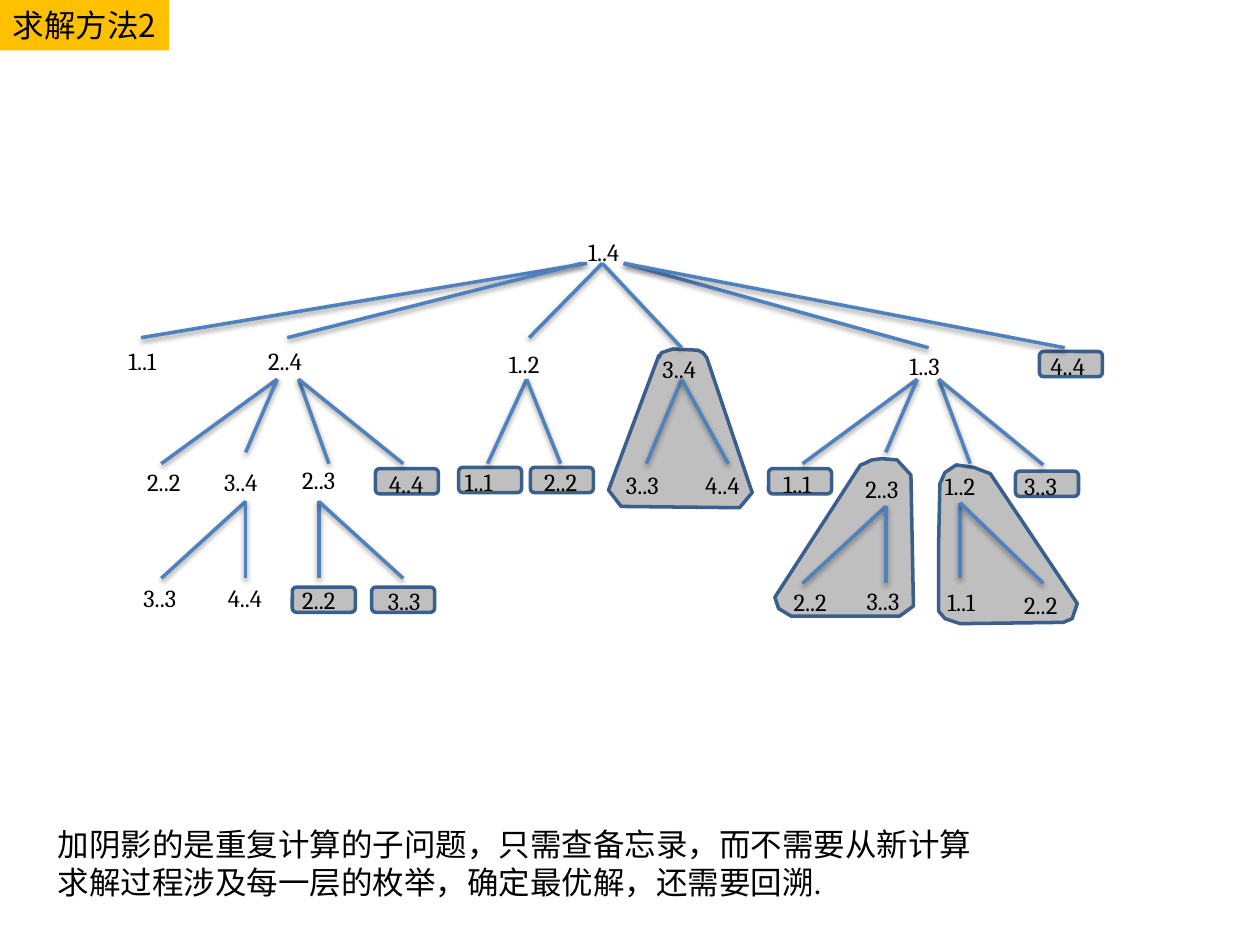
from lxml.etree import SubElement
from pptx import Presentation
from pptx.dml.color import RGBColor
from pptx.enum.shapes import MSO_CONNECTOR, MSO_SHAPE
from pptx.enum.text import MSO_ANCHOR, MSO_AUTO_SIZE, PP_ALIGN
from pptx.oxml.ns import qn
from pptx.util import Cm, Pt

BLACK = RGBColor(0x00, 0x00, 0x00)
AMBER = RGBColor(0xFF, 0xC0, 0x00)
GRAY = RGBColor(0xBF, 0xBF, 0xBF)
NAVY = RGBColor(0x3A, 0x5F, 0x8C)
BLUE = RGBColor(0x4F, 0x81, 0xBD)

# Positions below are in hundredths of an inch.
REPEATED_LEAVES = [
    (806, 374), (610, 372), (298, 372), (421, 371),
    (364, 371), (825, 279), (295, 466), (232, 466),
]
REPEATED_SUBTREES = [
    [(746, 384), (750, 375), (759, 369), (773, 371), (786, 376), (855, 479),
     (851, 491), (844, 494), (762, 495), (750, 491), (745, 485), (745, 430)],
    [(523, 282), (523, 284), (525, 280), (534, 277), (554, 278), (558, 280),
     (561, 284), (597, 391), (587, 403), (493, 402), (483, 389)],
    [(683, 369), (688, 367), (692, 365), (700, 364), (712, 365), (723, 377),
     (725, 481), (714, 489), (628, 489), (618, 483), (615, 474)],
]
# Each branch point with the ends of its edges
BRANCHES = [
    ((466, 209), [(112, 268)]),
    ((462, 209), [(228, 268)]),
    ((478, 209), [(420, 268), (541, 276)]),
    ((495, 209), [(737, 276), (845, 276)]),
    ((220, 301), [(128, 368), (195, 359)]),
    ((237, 301), [(261, 368), (320, 368)]),
    ((418, 301), [(387, 368), (445, 368)]),
    ((541, 301), [(513, 368), (578, 368)]),
    ((728, 301), [(637, 368), (703, 359)]),
    ((745, 301), [(770, 368), (828, 369)]),
    ((253, 398), [(253, 459), (320, 459)]),
    ((195, 398), [(128, 459), (195, 459)]),
    ((703, 402), [(637, 463), (703, 463)]),
    ((762, 399), [(762, 459), (828, 463)]),
]
# Subproblem labels by tree level: range, left, top
LEVELS = [
    [("1..4", 457, 183)],
    [("1..1", 92, 270), ("2..4", 203, 270), ("1..2", 394, 272),
     ("3..4", 516, 276), ("1..3", 712, 274), ("4..4", 824, 274)],
    [("2..2", 107, 366), ("3..4", 168, 366), ("2..3", 230, 364),
     ("4..4", 299, 367), ("1..1", 359, 366), ("2..2", 422, 366),
     ("3..3", 487, 368), ("4..4", 550, 368), ("1..1", 612, 367),
     ("2..3", 677, 371), ("1..2", 740, 369), ("3..3", 803, 369)],
    [("3..3", 104, 458), ("4..4", 171, 458), ("2..2", 230, 459),
     ("3..3", 298, 460), ("2..2", 620, 461), ("3..3", 678, 460),
     ("1..1", 742, 461), ("2..2", 803, 463)],
]


def scaled(*values):
    """Turn hundredths of an inch into lengths."""
    return [Cm(value * 0.0254) for value in values]


class TreeSlide:
    line_width = Pt(2)

    def __init__(self, slide):
        self.slide = slide
        self.shapes = slide.shapes

    def set_text(self, shape, lines, font_name, size):
        frame = shape.text_frame
        frame.text = "\n".join(lines)
        frame.word_wrap = True
        frame.auto_size = MSO_AUTO_SIZE.NONE
        frame.vertical_anchor = MSO_ANCHOR.TOP
        for paragraph in frame.paragraphs:
            paragraph.alignment = PP_ALIGN.LEFT
            font = paragraph.font
            font.name, font.size = font_name, Pt(size)
            font.color.rgb = BLACK

    def title(self, text, *box):
        title = self.shapes.title
        title.left, title.top, title.width, title.height = scaled(*box)
        title.fill.solid()
        title.fill.fore_color.rgb = AMBER
        self.set_text(title, [text], "Noto Sans CJK SC", 18)

    def text(self, lines, *box, font_name="Cambria", size=14):
        self.set_text(self.shapes.add_textbox(*scaled(*box)), lines, font_name, size)

    def shade(self, shape):
        shape.shadow.inherit = False
        shape.fill.solid()
        shape.fill.fore_color.rgb = GRAY
        shape.line.color.rgb = NAVY
        shape.line.width = self.line_width

    def leaf(self, left, top):
        self.shade(self.shapes.add_shape(
            MSO_SHAPE.FLOWCHART_ALTERNATE_PROCESS, *scaled(left, top, 50, 20)))

    def subtree(self, points):
        builder = self.shapes.build_freeform(*points[0], scale=scaled(1)[0])
        builder.add_line_segments(points[1:], close=True)
        self.shade(builder.convert_to_shape())

    def edge(self, start, end):
        line = self.shapes.add_connector(
            MSO_CONNECTOR.STRAIGHT, *scaled(*start, *end))
        line.line.color.rgb = BLUE
        line.line.width = self.line_width
        effects = SubElement(line._element.spPr, qn("a:effectLst"))
        shadow = SubElement(effects, qn("a:outerShdw"), blurRad="40000",
                            dist="20000", dir="5400000", rotWithShape="0")
        color = SubElement(shadow, qn("a:srgbClr"), val="000000")
        SubElement(color, qn("a:alpha"), val="38000")


def main():
    presentation = Presentation()
    presentation.slide_width, presentation.slide_height = Cm(25.4), Cm(19.05)
    title_only = presentation.slide_layouts[5]
    tree = TreeSlide(presentation.slides.add_slide(title_only))

    tree.title("求解方法2", 0, 0, 134, 40)
    for left, top in REPEATED_LEAVES:
        tree.leaf(left, top)
    for points in REPEATED_SUBTREES:
        tree.subtree(points)
    for start, ends in BRANCHES:
        for end in ends:
            tree.edge(start, end)
    for level in LEVELS:
        for label, left, top in level:
            tree.text([label], left, top, 50, 34)
    tree.text(["加阴影的是重复计算的子问题，只需查备忘录，而不需要从新计算",
               "求解过程涉及每一层的枚举，确定最优解，还需要回溯."],
              36, 650, 928, 71, font_name="Calibri", size=18)

    presentation.save("out.pptx")


if __name__ == "__main__":
    main()
